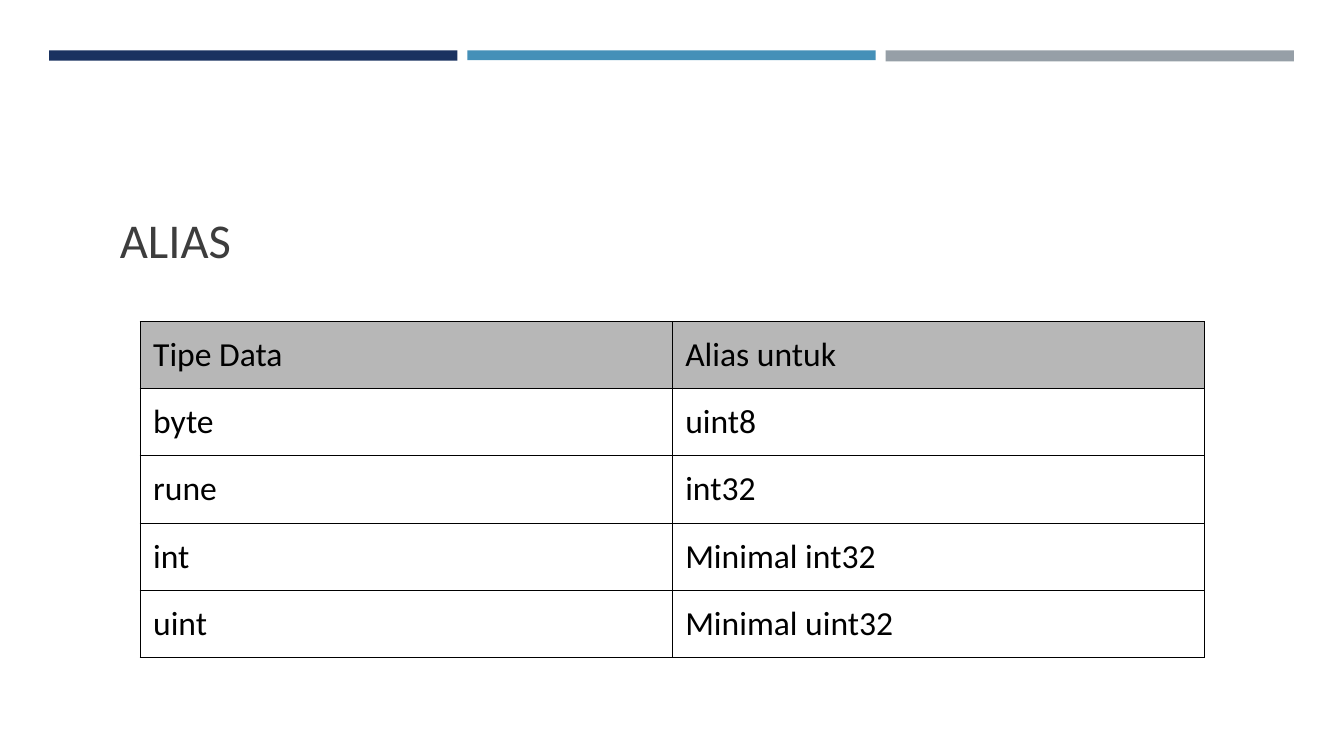
from dataclasses import dataclass

from lxml.etree import SubElement
from pptx import Presentation
from pptx.dml.color import RGBColor
from pptx.enum.shapes import MSO_SHAPE
from pptx.enum.text import MSO_ANCHOR, PP_ALIGN
from pptx.oxml.ns import qn
from pptx.slide import Slide
from pptx.table import _Cell
from pptx.text.text import TextFrame
from pptx.util import Cm, Pt

NAVY = RGBColor(0x1A, 0x32, 0x60)
BLUE = RGBColor(0x45, 0x90, 0xB8)
GRAY = RGBColor(0x96, 0x9F, 0xA7)
SILVER = RGBColor(0xB7, 0xB7, 0xB7)
DARK = RGBColor(0x3D, 0x3D, 0x3D)
BLACK = RGBColor(0, 0, 0)

FONT = "Calibri"
INSET = Cm(0.33)
BAR_LEFT, BAR_TOP, BAR_WIDTH, BAR_STEP = 1.24, 1.27, 10.29, 10.54
COL_WIDTH, ROW_HEIGHT = 13.41, 1.69


@dataclass
class Bar:
    color: RGBColor
    height: float


@dataclass
class Alias:
    kind: str
    target: str


BARS = [Bar(NAVY, 0.26), Bar(BLUE, 0.25), Bar(GRAY, 0.28)]
ROWS = [
    Alias("Tipe Data", "Alias untuk"),
    Alias("byte", "uint8"),
    Alias("rune", "int32"),
    Alias("int", "Minimal int32"),
    Alias("uint", "Minimal uint32"),
]


def write(frame: TextFrame, text: str, *, size: float, color: RGBColor) -> None:
    frame.word_wrap = True
    para = frame.paragraphs[0]
    para.alignment = PP_ALIGN.LEFT
    run = para.add_run()
    run.text = text
    run.font.name = FONT
    run.font.size = Pt(size)
    run.font.color.rgb = color


def pad(box: TextFrame | _Cell) -> None:
    box.margin_left = box.margin_right = INSET
    box.margin_top = box.margin_bottom = INSET
    box.vertical_anchor = MSO_ANCHOR.TOP


def draw_bar(slide: Slide, index: int, bar: Bar) -> None:
    left = Cm(BAR_LEFT + index * BAR_STEP)
    shape = slide.shapes.add_shape(
        MSO_SHAPE.RECTANGLE, left, Cm(BAR_TOP), Cm(BAR_WIDTH), Cm(bar.height)
    )
    shape.shadow.inherit = False
    shape.fill.solid()
    shape.fill.fore_color.rgb = bar.color
    shape.line.fill.background()


def draw_title(slide: Slide, text: str) -> None:
    title = slide.shapes.title
    title.left, title.top = Cm(2.69), Cm(4.88)
    title.width, title.height = Cm(28.47), Cm(1.98)
    frame = title.text_frame
    pad(frame)
    frame.margin_top = Cm(0.4)
    frame.vertical_anchor = MSO_ANCHOR.TOP
    write(frame, text, size=34.7, color=DARK)


def edge(cell: _Cell) -> None:
    props = cell._tc.get_or_add_tcPr()
    for side in ("lnL", "lnR", "lnT", "lnB"):
        line = SubElement(props, qn(f"a:{side}"), w=str(Pt(0.75)))
        fill = SubElement(line, qn("a:solidFill"))
        SubElement(fill, qn("a:srgbClr"), val=str(BLACK))


def draw_table(slide: Slide, rows: list[Alias]) -> None:
    table = slide.shapes.add_table(
        len(rows), 2, Cm(3.53), Cm(8.1), Cm(2 * COL_WIDTH), Cm(len(rows) * ROW_HEIGHT)
    ).table
    table.horz_banding = False
    table.first_row = False
    for col in table.columns:
        col.width = Cm(COL_WIDTH)
    for index, row in enumerate(rows):
        table.rows[index].height = Cm(ROW_HEIGHT)
        for col, text in enumerate((row.kind, row.target)):
            cell = table.cell(index, col)
            pad(cell)
            edge(cell)
            if index == 0:
                cell.fill.solid()
                cell.fill.fore_color.rgb = SILVER
            else:
                cell.fill.background()
            write(cell.text_frame, text, size=24, color=BLACK)


def main() -> None:
    deck = Presentation()
    deck.slide_width, deck.slide_height = Cm(33.87), Cm(19.05)
    slide = deck.slides.add_slide(deck.slide_layouts[5])
    for index, bar in enumerate(BARS):
        draw_bar(slide, index, bar)
    draw_title(slide, "ALIAS")
    draw_table(slide, ROWS)
    deck.save("out.pptx")


if __name__ == "__main__":
    main()
